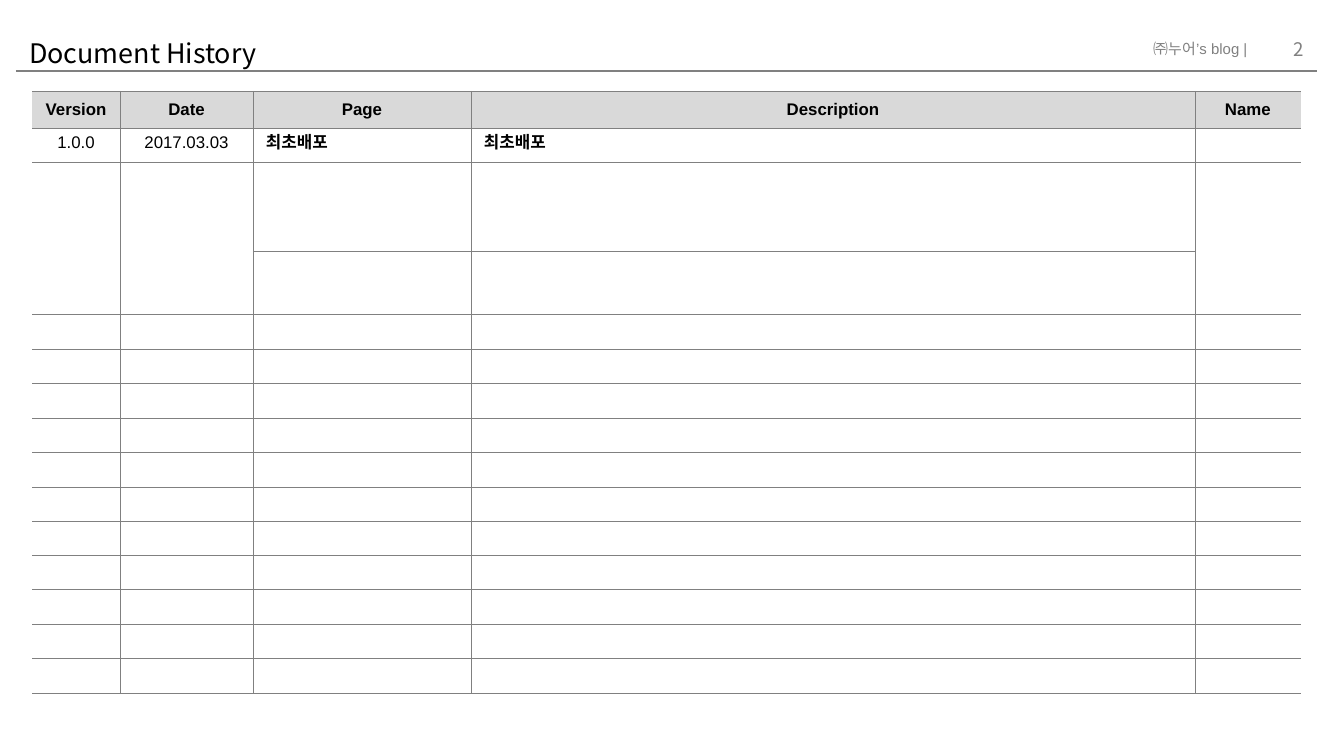
from lxml.etree import SubElement
from pptx import Presentation
from pptx.dml.color import RGBColor
from pptx.enum.shapes import MSO_CONNECTOR
from pptx.enum.text import MSO_ANCHOR, MSO_AUTO_SIZE, PP_ALIGN
from pptx.oxml.ns import qn
from pptx.util import Emu, Pt

BLACK = RGBColor(0x00, 0x00, 0x00)
WHITE = RGBColor(0xFF, 0xFF, 0xFF)
GRAY = RGBColor(0x80, 0x80, 0x80)
LIGHT = RGBColor(0xD9, 0xD9, 0xD9)
LATIN, KOREAN = "Arial", "Noto Sans CJK KR"
PX_PER_INCH = 134.4


def px(n):
    return Emu(round(n * 914400 / PX_PER_INCH))


def write(tf, text, size=9, font=LATIN, color=BLACK, bold=False,
          align=PP_ALIGN.LEFT, before=0):
    p = tf.paragraphs[0]
    p.alignment = align
    p.space_before = Pt(before)
    if not text:
        # An empty cell keeps its row low through its end mark
        SubElement(p._p, qn("a:endParaRPr"), sz=str(size * 100))
        return
    r = p.add_run()
    r.text = text
    r.font.size, r.font.name, r.font.bold = Pt(size), font, bold
    r.font.color.rgb = color
    SubElement(r._r.get_or_add_rPr(), qn("a:ea"), typeface=font)


class Page:
    def __init__(self, prs):
        self.s = prs.slides.add_slide(prs.slide_layouts[6])
        self.line_color = GRAY
        self.border = Pt(0.25)

    def text(self, x, y, w, h, text, wrap=True, anchor=MSO_ANCHOR.MIDDLE,
             inset=0, **fmt):
        sp = self.s.shapes.add_textbox(px(x), px(y), px(w), px(h))
        tf = sp.text_frame
        tf.word_wrap = wrap
        tf.auto_size = MSO_AUTO_SIZE.NONE if wrap else MSO_AUTO_SIZE.SHAPE_TO_FIT_TEXT
        tf.vertical_anchor = anchor
        tf.margin_top = tf.margin_bottom = px(inset)
        write(tf, text, **fmt)

    def line(self, x1, y1, x2, y2, width=1):
        c = self.s.shapes.add_connector(
            MSO_CONNECTOR.STRAIGHT, px(x1), px(y1), px(x2), px(y2))
        c.line.color.rgb = self.line_color
        c.line.width = Pt(width)
        SubElement(c._element.spPr, qn("a:effectLst"))

    def table(self, x, y, widths, heights):
        frame = self.s.shapes.add_table(len(heights), len(widths), px(x), px(y),
                                        px(sum(widths)), px(sum(heights)))
        table = frame.table
        for col, w in zip(table.columns, widths):
            col.width = px(w)
        for row, h in zip(table.rows, heights):
            row.height = px(h)
        return table

    def cell(self, cell, text, fill, hidden=(), anchor=MSO_ANCHOR.TOP, **fmt):
        tcPr = cell._tc.get_or_add_tcPr()
        for side in "LRTB":
            ln = SubElement(tcPr, qn(f"a:ln{side}"), w=str(self.border))
            if side in hidden:
                SubElement(ln, qn("a:noFill"))
            else:
                solid = SubElement(ln, qn("a:solidFill"))
                SubElement(solid, qn("a:srgbClr"), val=str(self.line_color))
        cell.fill.solid()
        cell.fill.fore_color.rgb = fill
        cell.margin_left = cell.margin_right = px(13)
        cell.margin_top = cell.margin_bottom = px(5)
        cell.vertical_anchor = anchor
        write(cell.text_frame, text, **fmt)


def main():
    prs = Presentation()
    prs.slide_width, prs.slide_height = px(1344), px(756)
    page = Page(prs)

    # Page header
    page.text(1140, 33, 132, 32, "㈜누어’s blog |", wrap=False,
              anchor=MSO_ANCHOR.TOP, inset=7, size=8, color=GRAY)
    page.line(16, 71, 1317, 71)
    page.text(16, 33, 1079, 40, "Document History", size=14.4, font=KOREAN)

    # History table: four leading rows, then equal empty rows
    headings = ["Version", "Date", "Page", "Description", "Name"]
    release = ["1.0.0", "2017.03.03", "최초배포", "최초배포", ""]
    widths = [88, 133, 218, 724, 106]
    empty_rows, empty_height = 11, 380
    edges = [round(i * empty_height / empty_rows) for i in range(empty_rows + 1)]
    heights = [37, 34, 89, 63] + [b - a for a, b in zip(edges, edges[1:])]
    table = page.table(32, 91, widths, heights)
    last = len(widths) - 1

    for i in range(len(heights)):
        texts = {0: headings, 1: release}.get(i, [""] * len(widths))
        for j, text in enumerate(texts):
            head = i == 0
            page.cell(table.cell(i, j), text, LIGHT if head else WHITE,
                      hidden={0: "L", last: "R"}.get(j, ""),
                      anchor=MSO_ANCHOR.MIDDLE if head else MSO_ANCHOR.TOP,
                      bold=head or j > 1,
                      align=PP_ALIGN.CENTER if head or j < 2 else PP_ALIGN.LEFT,
                      before=1.8 if head else 0)
    for j in (0, 1, last):
        table.cell(2, j).merge(table.cell(3, j))

    # Page number
    page.text(1236, 29, 81, 40, "2", size=10, font=KOREAN, color=GRAY,
              align=PP_ALIGN.RIGHT)
    prs.save("out.pptx")


if __name__ == "__main__":
    main()
